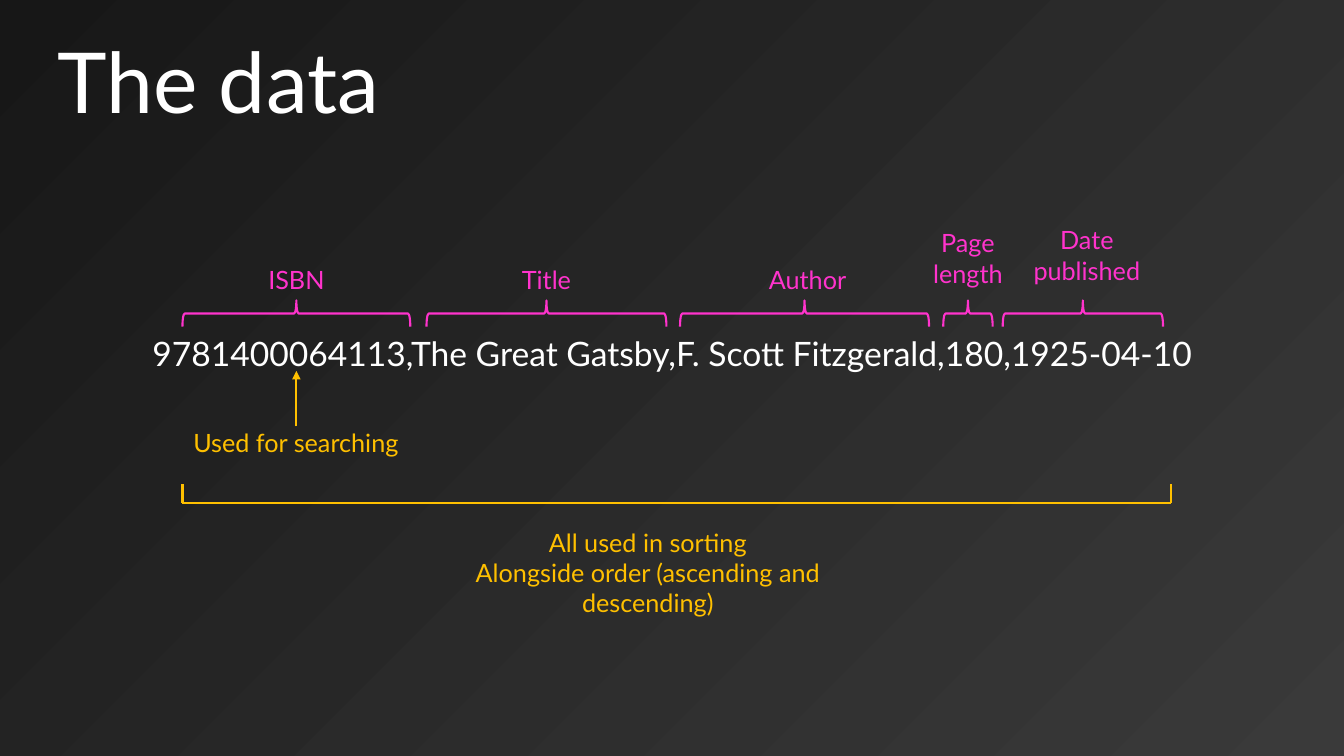
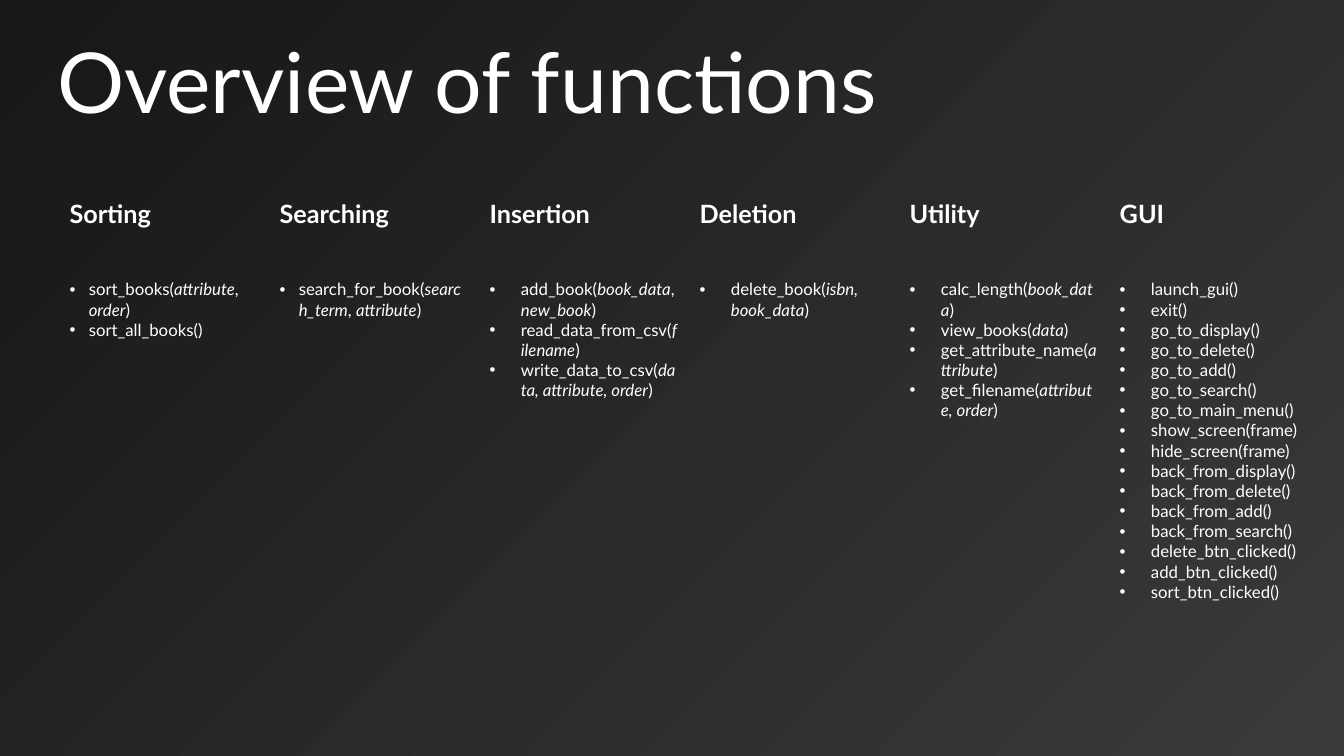
from dataclasses import dataclass

from lxml.etree import SubElement
from pptx import Presentation
from pptx.dml.color import RGBColor
from pptx.enum.shapes import MSO_CONNECTOR, MSO_SHAPE
from pptx.enum.text import MSO_ANCHOR, PP_ALIGN
from pptx.oxml.ns import qn
from pptx.util import Inches, Pt


@dataclass(frozen=True)
class Theme:
    font: str = "Lato"
    white: str = "FFFFFF"
    pink: str = "FF33CC"
    gold: str = "FFC000"
    light: str = "3A3A3A"
    dark: str = "171717"
    title: int = 60
    record: int = 24
    label: int = 18
    item: int = 12
    line: float = 1.5


T = Theme()
WIDTH, HEIGHT = 13.33, 7.5
NO_GRID = "{2D5ABB26-0587-4C30-8999-92F81FD0307C}"

RECORD = "9781400064113,The Great Gatsby,F. Scott Fitzgerald,180,1925-04-10"
# name, brace centre, brace span, label centre, label top, label width
FIELDS = [
    ("ISBN", 2.94, 2.26, 2.94, 2.57, 1.18),
    ("Title", 5.42, 2.38, 5.42, 2.57, 1.18),
    ("Author", 7.98, 2.47, 8.01, 2.57, 1.18),
    ("Page\nlength", 9.6, 0.49, 9.6, 2.21, 1.18),
    ("Date published", 10.74, 1.59, 10.78, 2.18, 1.4),
]
BRACE_Y, BRACE_DEPTH = 3.11, 0.26
SEARCH_NOTE = "Used for searching"
SORT_NOTE = "All used in sorting\nAlongside order (ascending and descending)"
SORT_LEFT, SORT_RIGHT, SORT_Y, SORT_TICK = 1.81, 11.61, 4.99, 0.19

GROUPS = [
    ("Sorting", 0.19, ["sort_books(*attribute*, *order*)", "sort_all_books()"]),
    ("Searching", 0.19, ["search_for_book(*search_term*, *attribute*)"]),
    ("Insertion", 0.31, [
        "add_book(*book_data*, *new_book*)",
        "read_data_from_csv(*filename*)",
        "write_data_to_csv(*data, attribute, order*)",
    ]),
    ("Deletion", 0.31, ["delete_book(*isbn, book_data*)"]),
    ("Utility", 0.31, [
        "calc_length(*book_data*)",
        "view_books(*data*)",
        "get_attribute_name(*attribute*)",
        "get_filename(*attribute, order*)",
    ]),
    ("GUI", 0.31, [
        "launch_gui()", "exit()", "go_to_display()", "go_to_delete()",
        "go_to_add()", "go_to_search()", "go_to_main_menu()",
        "show_screen(frame)", "hide_screen(frame)", "back_from_display()",
        "back_from_delete()", "back_from_add()", "back_from_search()",
        "delete_btn_clicked()", "add_btn_clicked()", "sort_btn_clicked()",
    ]),
]
TABLE_AT, ROWS = (0.59, 1.92, 12.5), (0.8, 3.3)


def write(tf, text, size=T.label, color=T.white, align=PP_ALIGN.LEFT,
          bold=False, spacing=None, bullet=None):
    """Fill a text frame, one paragraph a line, with *italic* marks."""
    for n, line in enumerate(text.split("\n")):
        p = tf.add_paragraph() if n else tf.paragraphs[0]
        p.alignment = align
        if spacing:
            p.line_spacing = spacing
        if bullet:
            pPr = p._p.get_or_add_pPr()
            pPr.set("marL", str(Inches(bullet)))
            pPr.set("indent", str(-Inches(bullet)))
            SubElement(pPr, qn("a:buFont")).set("typeface", "Arial")
            SubElement(pPr, qn("a:buChar")).set("char", "•")
        for k, part in enumerate(line.split("*")):
            if part:
                r = p.add_run()
                r.text = part
                r.font.name, r.font.size = T.font, Pt(size)
                r.font.bold, r.font.italic = bold, k % 2 == 1
                r.font.color.rgb = RGBColor.from_string(color)


def add_text(s, text, x, y, w, h, anchor=MSO_ANCHOR.TOP, **fmt):
    """Place a wrapped text box."""
    tf = s.shapes.add_textbox(*map(Inches, (x, y, w, h))).text_frame
    tf.word_wrap = True
    tf.vertical_anchor = anchor
    write(tf, text, **fmt)


def stroke(sp, color):
    """Give a shape or connector its outline."""
    sp.line.color.rgb = RGBColor.from_string(color)
    sp.line.width = Pt(T.line)


def add_line(s, x1, y1, x2, y2, arrow=False):
    """Draw a gold line, with an arrowhead at its end if asked."""
    sp = s.shapes.add_connector(MSO_CONNECTOR.STRAIGHT, *map(Inches, (x1, y1, x2, y2)))
    stroke(sp, T.gold)
    if arrow:
        SubElement(sp.line._get_or_add_ln(), qn("a:tailEnd")).set("type", "triangle")
    SubElement(sp._element.spPr, qn("a:effectLst"))


def add_brace(s, center, span):
    """Draw a pink brace that opens downwards."""
    box = (center - BRACE_DEPTH / 2, BRACE_Y - span / 2, BRACE_DEPTH, span)
    sp = s.shapes.add_shape(MSO_SHAPE.RIGHT_BRACE, *map(Inches, box))
    sp.rotation = 270
    sp.shadow.inherit = False
    sp.fill.background()
    stroke(sp, T.pink)


def add_slide(prs, title):
    """Add a blank slide with the shared title."""
    s = prs.slides.add_slide(prs.slide_layouts[6])
    add_text(s, title, 0.47, 0.28, 10, 1.08, MSO_ANCHOR.BOTTOM,
             size=T.title, spacing=0.9)
    return s


def data_slide(prs):
    """Build the annotated record."""
    s = add_slide(prs, "The data")
    mid = PP_ALIGN.CENTER
    add_text(s, RECORD, 0.51, 3.25, 12.31, 0.5, size=T.record, align=mid)
    for name, center, span, label_x, top, w in FIELDS:
        add_brace(s, center, span)
        add_text(s, name, label_x - w / 2, top, w, 0.4 if top > 2.5 else 0.71,
                 color=T.pink, align=mid)
    add_text(s, SEARCH_NOTE, 0.89, 4.19, 4.09, 0.4, color=T.gold, align=mid)
    add_line(s, 2.94, 4.23, 2.94, 3.68, arrow=True)
    add_line(s, SORT_LEFT, SORT_Y, SORT_RIGHT, SORT_Y)
    for x in (SORT_LEFT, SORT_RIGHT):
        add_line(s, x, SORT_Y, x, SORT_Y - SORT_TICK)
    add_text(s, SORT_NOTE, 4.38, 5.18, 4.09, 1.01, color=T.gold, align=mid)


def functions_slide(prs):
    """Build the table of functions by group."""
    s = add_slide(prs, "Overview of functions")
    frame = s.shapes.add_table(len(ROWS), len(GROUPS),
                               *map(Inches, (*TABLE_AT, sum(ROWS))))
    table = frame.table
    table.first_row = table.horz_banding = False
    table._tbl.tblPr.find(qn("a:tableStyleId")).text = NO_GRID
    for row, h in zip(table.rows, ROWS):
        row.height = Inches(h)
    for c, (name, indent, items) in enumerate(GROUPS):
        head, body = table.cell(0, c), table.cell(1, c)
        write(head.text_frame, name, bold=True)
        write(body.text_frame, "\n".join(items), size=T.item, bullet=indent)
        for cell in (head, body):
            cell.fill.background()


def main():
    """Build and save the presentation."""
    prs = Presentation()
    prs.slide_width, prs.slide_height = Inches(WIDTH), Inches(HEIGHT)
    fill = prs.slide_master.background.fill
    fill.gradient()
    fill.gradient_angle = 135
    for stop, color in zip(fill.gradient_stops, (T.light, T.dark)):
        stop.color.rgb = RGBColor.from_string(color)
    data_slide(prs)
    functions_slide(prs)
    prs.save("out.pptx")


if __name__ == "__main__":
    main()
